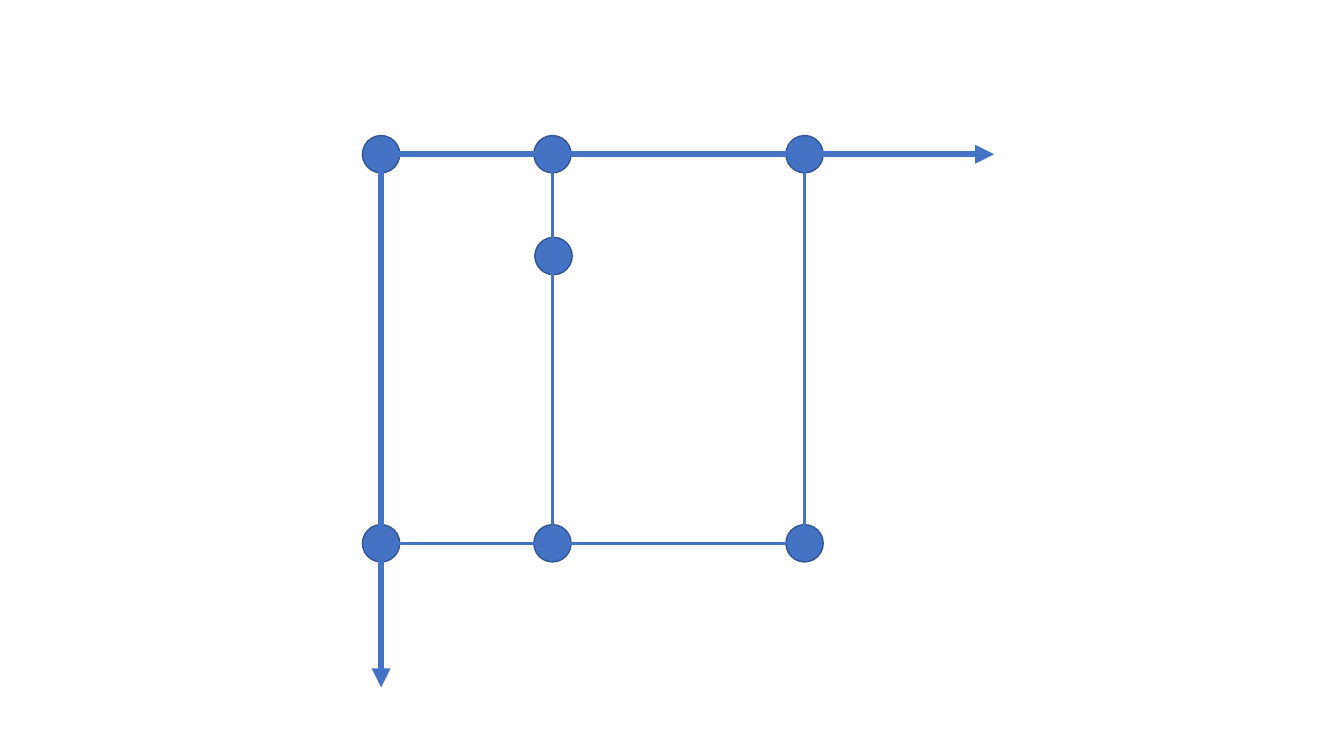
from typing import NamedTuple

from lxml import etree
from pptx import Presentation
from pptx.dml.color import RGBColor
from pptx.enum.shapes import MSO_CONNECTOR, MSO_SHAPE
from pptx.oxml.ns import qn
from pptx.shapes.shapetree import GroupShapes, SlideShapes
from pptx.util import Pt

PX = 9144  # EMU in one px, 100 px to the inch
WIDTH, HEIGHT = 1333, 750
DOT = 37
BLUE = RGBColor(0x44, 0x72, 0xC4)
NAVY = RGBColor(0x32, 0x54, 0x91)
OVAL = MSO_SHAPE.OVAL
STRAIGHT = MSO_CONNECTOR.STRAIGHT
THICK, THIN = Pt(4.5), Pt(2.25)

LEFT, MID, RIGHT = 378, 548, 798
TOP, LOW = 153, 539


class Point(NamedTuple):
    x: int
    y: int


class Line(NamedTuple):
    start: Point
    end: Point
    width: int = THIN
    arrow: bool = False


ORIGIN = Point(LEFT, TOP)
INNER = Point(549, 254)
ROWS = [[Point(x, y) for x in (LEFT, RIGHT, MID)] for y in (TOP, LOW)]
LINES = [
    Line(ORIGIN, Point(LEFT, 682), THICK, True),
    Line(ORIGIN, Point(986, TOP), THICK, True),
    Line(Point(RIGHT, TOP), Point(RIGHT, LOW)),
    Line(Point(LEFT, LOW), Point(RIGHT, LOW)),
    Line(Point(MID, TOP), Point(MID, LOW)),
]


def add_dot(shapes: SlideShapes | GroupShapes, mid: Point) -> None:
    """Draw a dot centred on the given point."""
    size = DOT * PX
    dot = shapes.add_shape(
        OVAL, mid.x * PX - size // 2, mid.y * PX - size // 2, size, size
    )
    dot.shadow.inherit = False
    dot.fill.solid()
    dot.fill.fore_color.rgb = BLUE
    dot.line.color.rgb = NAVY
    dot.line.width = Pt(1)


def add_line(shapes: SlideShapes, line: Line) -> None:
    ends = [value * PX for value in (*line.start, *line.end)]
    link = shapes.add_connector(STRAIGHT, *ends)
    link.line.color.rgb = BLUE
    link.line.width = line.width
    props = link._element.spPr
    if line.arrow:
        etree.SubElement(props.find(qn("a:ln")), qn("a:tailEnd"), type="triangle")
    etree.SubElement(props, qn("a:effectLst"))


def main() -> None:
    deck = Presentation()
    deck.slide_width, deck.slide_height = WIDTH * PX, HEIGHT * PX
    shapes = deck.slides.add_slide(deck.slide_layouts[6]).shapes
    add_dot(shapes, INNER)
    for row in ROWS:
        group = shapes.add_group_shape()
        for mid in row:
            add_dot(group.shapes, mid)
    for line in LINES:
        add_line(shapes, line)
    deck.save("out.pptx")


if __name__ == "__main__":
    main()
